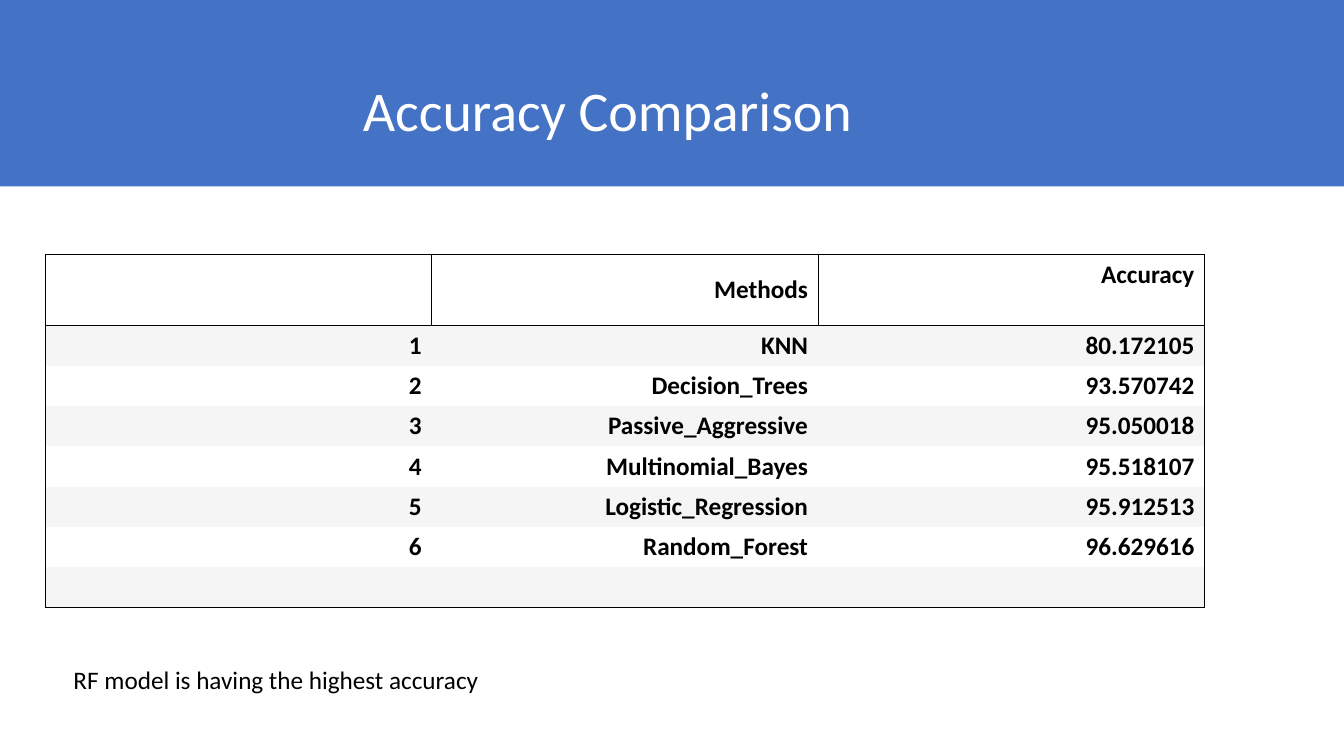
from pptx import Presentation
from pptx.dml.color import RGBColor
from pptx.enum.shapes import MSO_CONNECTOR as Link, MSO_SHAPE as Form
from pptx.enum.text import MSO_ANCHOR as Anchor, PP_ALIGN as Align
from pptx.oxml.ns import qn
from pptx.util import Pt
from lxml.etree import SubElement

BLUE = RGBColor(0x44, 0x72, 0xC4)
WHITE = RGBColor(0xFF, 0xFF, 0xFF)
GREY = RGBColor(0xF5, 0xF5, 0xF5)
BLACK = RGBColor(0, 0, 0)

WIDTH, HEIGHT = 960, 540
LEFT, TOP = 32.4, 182
COL, HEAD, ROW = 276, 50.4, 28.8

SCORES = [
    ("", "Methods", "Accuracy"),
    ("1", "KNN", "80.172105"),
    ("2", "Decision_Trees", "93.570742"),
    ("3", "Passive_Aggressive", "95.050018"),
    ("4", "Multinomial_Bayes", "95.518107"),
    ("5", "Logistic_Regression", "95.912513"),
    ("6", "Random_Forest", "96.629616"),
    ("", "", ""),
]


class Page:
    font = "Calibri"

    def __init__(self, slide):
        self.shapes = slide.shapes

    def set_text(self, frame, text, size, color, bold=False, align=Align.LEFT):
        frame.text = text
        frame.word_wrap = True
        for par in frame.paragraphs:
            par.alignment = align
            for run in par.runs:
                font = run.font
                font.name, font.size, font.bold = self.font, Pt(size), bold
                font.color.rgb = color

    def banner(self, text, width, height, indent, drop):
        """Draw a filled band whose text starts at indent and drop."""
        band = self.shapes.add_shape(Form.RECTANGLE, 0, 0, Pt(width), Pt(height))
        band.shadow.inherit = False
        band.fill.solid()
        band.fill.fore_color.rgb = BLUE
        band.line.fill.background()
        frame = band.text_frame
        frame.vertical_anchor = Anchor.TOP
        frame.margin_left, frame.margin_top = Pt(indent), Pt(drop)
        self.set_text(frame, text, 40, WHITE)

    def label(self, text, left, top, width, height):
        box = self.shapes.add_textbox(Pt(left), Pt(top), Pt(width), Pt(height))
        self.set_text(box.text_frame, text, 18, BLACK)

    def rule(self, start, end, top):
        line = self.shapes.add_connector(
            Link.STRAIGHT, Pt(start), Pt(top), Pt(end), Pt(top))
        line.line.color.rgb = BLACK
        line.line.width = Pt(0.5)
        SubElement(line._element.spPr, qn("a:effectLst"))

    def border(self, cell, sides):
        """Rule the given sides of a cell and clear the others."""
        props = cell._tc.get_or_add_tcPr()
        for side in "LRTB":
            edge = SubElement(props, qn(f"a:ln{side}"), w=str(Pt(1)))
            if side in sides:
                fill = SubElement(edge, qn("a:solidFill"))
                SubElement(fill, qn("a:srgbClr"), val=str(BLACK))
            else:
                SubElement(edge, qn("a:noFill"))

    def table(self, rows, left, top):
        last, end = len(rows) - 1, len(rows[0]) - 1
        grid = self.shapes.add_table(
            last + 1, end + 1, Pt(left), Pt(top),
            Pt(COL * (end + 1)), Pt(HEAD + ROW * last)).table
        grid.first_row = grid.horz_banding = False
        for col in grid.columns:
            col.width = Pt(COL)
        for r, row in enumerate(rows):
            grid.rows[r].height = Pt(ROW if r else HEAD)
            for c, text in enumerate(row):
                cell = grid.cell(r, c)
                sides = "LRTB" if r == 0 else (
                    "L" * (c == 0) + "R" * (c == end) + "T" * (r == 1)
                    + "B" * (r == last and c in (0, end)))
                self.border(cell, sides)
                cell.fill.solid()
                cell.fill.fore_color.rgb = GREY if r % 2 else WHITE
                cell.margin_top = cell.margin_bottom = Pt(3.4)
                corner = r == 0 and c == end
                cell.vertical_anchor = Anchor.TOP if corner else Anchor.MIDDLE
                self.set_text(cell.text_frame, text, 18, BLACK, True, Align.RIGHT)


def main():
    deck = Presentation()
    deck.slide_width, deck.slide_height = Pt(WIDTH), Pt(HEIGHT)
    page = Page(deck.slides.add_slide(deck.slide_layouts[6]))
    page.banner("Accuracy Comparison", WIDTH, 133.2, 259.2, 54)
    page.table(SCORES, LEFT, TOP)
    page.rule(297.4, 591.8, TOP + HEAD + ROW * (len(SCORES) - 1))
    page.label("RF model is having the highest accuracy", 45.4, 470.9, 725.8, 28.8)
    deck.save("out.pptx")


if __name__ == "__main__":
    main()
